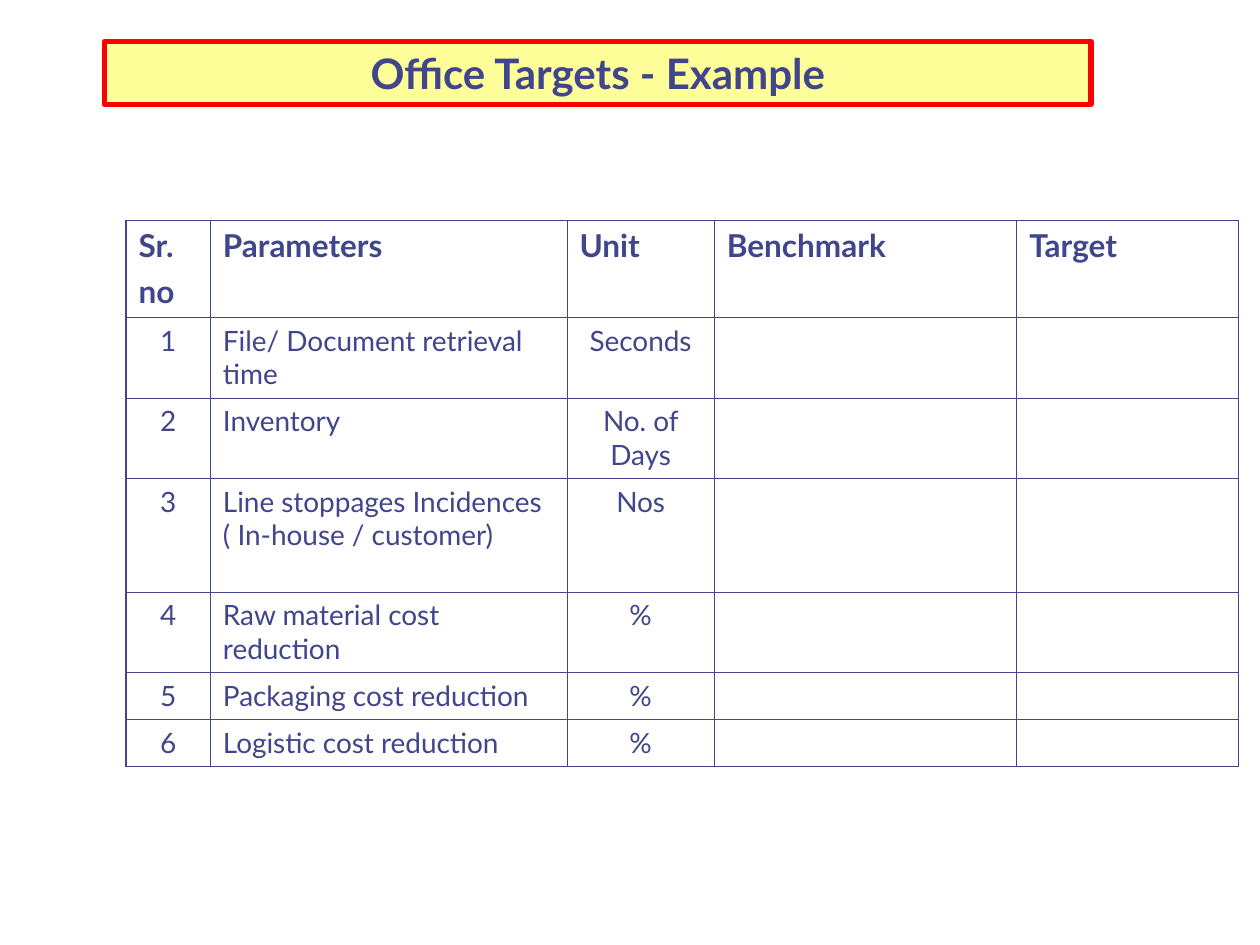
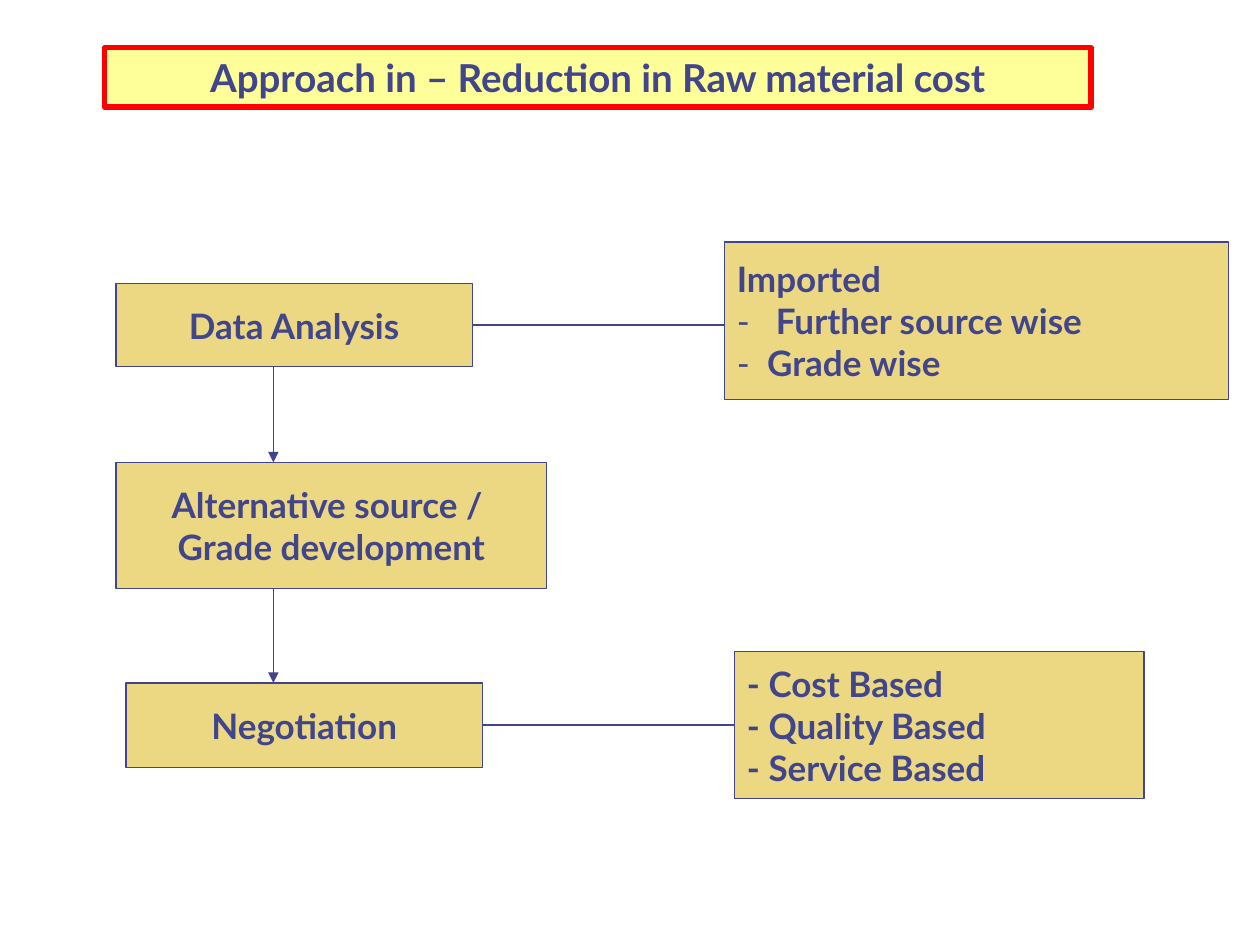
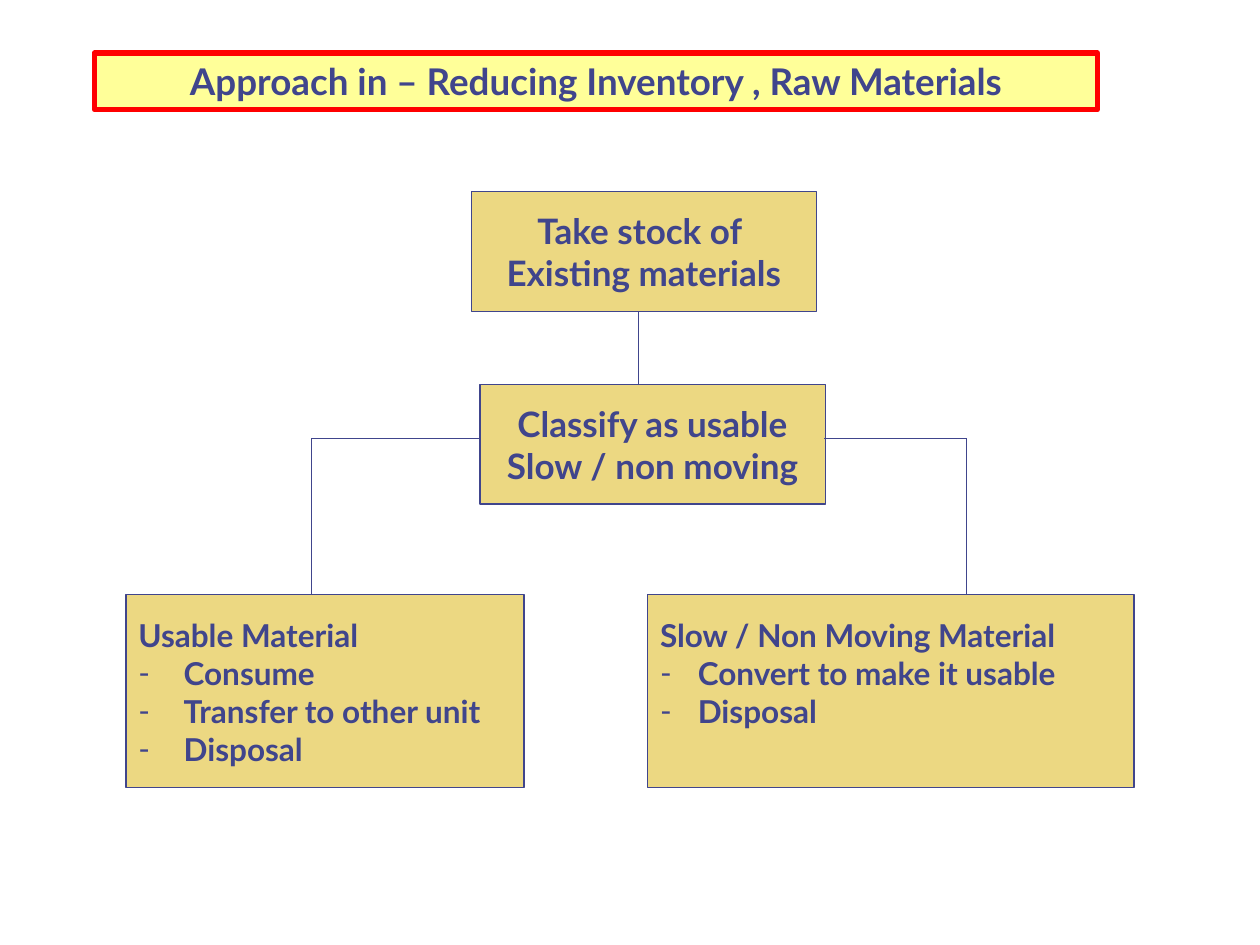
"""Build three slides on office targets and the approaches to cost and inventory reduction."""
from dataclasses import dataclass
from typing import NamedTuple, Optional

from lxml.etree import SubElement
from pptx import Presentation
from pptx.dml.color import RGBColor
from pptx.enum.shapes import MSO_CONNECTOR as Connector, MSO_SHAPE as Preset
from pptx.enum.text import MSO_ANCHOR as Anchor, PP_ALIGN as Align
from pptx.oxml.ns import qn
from pptx.util import Inches, Pt

BOTTOM_MARGIN_UNUSED = None


@dataclass(frozen=True)
class Theme:
    font: str = "Lato"
    ink: str = "40458C"
    band: str = "FFFF99"
    band_edge: str = "FF0000"
    panel: str = "ECD882"
    band_line: float = 3
    panel_line: float = 0.75
    inner_border: float = 0.45
    outer_border: float = 1.08
    panel_size: int = 20
    list_size: int = 18
    header_size: int = 18
    cell_size: int = 16


THEME = Theme()


class Area(NamedTuple):
    left: float
    top: float
    width: float
    height: float


class Line(NamedTuple):
    text: str
    hang: float = 0


class Panel(NamedTuple):
    name: str
    area: Area
    lines: list[Line]
    size: int = THEME.panel_size
    align: Align = Align.CENTER
    top_inset: Optional[float] = None


class Joint(NamedTuple):
    panel: str
    site: int


class Link(NamedTuple):
    start: tuple[float, float]
    end: tuple[float, float]
    arrow: bool = False
    start_joint: Optional[Joint] = None
    end_joint: Optional[Joint] = None


class Diagram(NamedTuple):
    title: str
    title_area: Area
    title_size: int
    panels: list[Panel]
    links: list[Link]


TABLE_AREA = Area(1, 1.75, 8.83, 4.33)
COLUMN_WIDTHS = [0.67, 2.83, 1.17, 2.4, 1.76]
ROW_HEIGHTS = [0.77, 0.64, 0.64, 0.9, 0.64, 0.37, 0.37]
CENTRED_COLUMNS = (0, 2)
HEADER = ["Sr.\nno", "Parameters", "Unit", "Benchmark", "Target"]
TARGETS = [
    ("File/ Document retrieval time", "Seconds"),
    ("Inventory", "No. of Days"),
    ("Line stoppages Incidences ( In-house / customer)", "Nos"),
    ("Raw material cost reduction", "%"),
    ("Packaging cost reduction", "%"),
    ("Logistic cost reduction", "%"),
]

COST_DIAGRAM = Diagram(
    "Approach in – Reduction in Raw material cost", Area(0.83, 0.38, 7.83, 0.47), 22,
    [
        Panel("analysis", Area(0.92, 2.25, 2.83, 0.66), [Line("Data Analysis")]),
        Panel("alternative", Area(0.92, 3.67, 3.42, 1),
              [Line("Alternative source / "), Line("Grade development")]),
        Panel("negotiation", Area(1, 5.42, 2.83, 0.67), [Line("Negotiation")]),
        Panel("imported", Area(5.75, 1.92, 4, 1.25),
              [Line("Imported"), Line("Further source wise", 0.31), Line("Grade wise", 0.24)],
              align=Align.LEFT),
        Panel("bases", Area(5.83, 5.17, 3.25, 1.17),
              [Line("- Cost Based"), Line("- Quality Based"), Line("- Service Based")],
              align=Align.LEFT),
    ],
    [
        Link((3.83, 5.75), (5.83, 5.75), start_joint=Joint("negotiation", 3),
             end_joint=Joint("bases", 1)),
        Link((3.75, 2.58), (5.75, 2.58), start_joint=Joint("analysis", 3)),
        Link((2.17, 2.91), (2.17, 3.67), arrow=True),
        Link((2.17, 4.67), (2.17, 5.42), arrow=True),
    ],
)

INVENTORY_DIAGRAM = Diagram(
    "Approach in – Reducing Inventory , Raw Materials", Area(0.75, 0.42, 7.96, 0.45), 21,
    [
        Panel("stock", Area(3.74, 1.52, 2.74, 0.95),
              [Line("Take stock of "), Line("Existing materials")]),
        Panel("classify", Area(3.81, 3.05, 2.74, 0.95),
              [Line("Classify as usable"), Line("Slow / non moving")]),
        Panel("usable", Area(1, 4.72, 3.16, 1.53),
              [Line("Usable Material"), Line("Consume", 0.36),
               Line("Transfer to other unit", 0.36), Line("Disposal", 0.36)],
              THEME.list_size, Align.LEFT, 0.17),
        Panel("slow", Area(5.14, 4.72, 3.86, 1.53),
              [Line("Slow / Non Moving Material"), Line("Convert to make it usable", 0.3),
               Line("Disposal", 0.3)],
              THEME.list_size, Align.LEFT, 0.17),
    ],
    [
        Link((6.54, 3.48), (7.67, 3.48)),
        Link((3.81, 3.48), (2.47, 3.48)),
        Link((2.47, 3.48), (2.47, 4.72)),
        Link((7.67, 3.48), (7.67, 4.72)),
        Link((5.07, 2.47), (5.07, 3.05)),
    ],
)


def colour(code: str) -> RGBColor:
    return RGBColor.from_string(code)


def inches(values) -> list:
    return [Inches(value) for value in values]


def add_span(para, text: str, size: float, bold: bool) -> None:
    span = para.add_run()
    span.text = text
    span.font.name = THEME.font
    span.font.size = Pt(size)
    span.font.bold = bold
    span.font.color.rgb = colour(THEME.ink)


def add_dash(para, hang: float) -> None:
    properties = para._p.get_or_add_pPr()
    properties.set("marL", str(Inches(hang)))
    properties.set("indent", str(-Inches(hang)))
    tint = SubElement(properties, qn("a:buClr"))
    SubElement(tint, qn("a:srgbClr"), val=THEME.ink)
    SubElement(properties, qn("a:buFont"), typeface=THEME.font)
    SubElement(properties, qn("a:buChar"), char="-")


def write_lines(frame, lines: list[Line], size: float, align: Align,
                bold: bool = True, space_before: float = 0) -> None:
    for index, line in enumerate(lines):
        para = frame.add_paragraph() if index else frame.paragraphs[0]
        para.alignment = align
        para.space_before = Pt(space_before)
        if line.hang:
            add_dash(para, line.hang)
        if line.text:
            add_span(para, line.text, size, bold)
        else:
            SubElement(para._p, qn("a:endParaRPr"), sz=str(size * 100))


def add_box(page, area: Area, fill: str, edge: str, weight: float):
    box = page.shapes.add_shape(Preset.RECTANGLE, *inches(area))
    box.shadow.inherit = False
    box.fill.solid()
    box.fill.fore_color.rgb = colour(fill)
    box.line.color.rgb = colour(edge)
    box.line.width = Pt(weight)
    box.text_frame.word_wrap = True
    return box


def add_title(page, title: str, area: Area, size: float) -> None:
    box = add_box(page, area, THEME.band, THEME.band_edge, THEME.band_line)
    box.text_frame.vertical_anchor = Anchor.TOP
    write_lines(box.text_frame, [Line(title)], size, Align.CENTER)


def add_panel(page, panel: Panel):
    box = add_box(page, panel.area, THEME.panel, THEME.ink, THEME.panel_line)
    frame = box.text_frame
    frame.vertical_anchor = Anchor.MIDDLE
    if panel.top_inset is not None:
        frame.vertical_anchor = Anchor.TOP
        frame.margin_top = Inches(panel.top_inset)
    write_lines(frame, panel.lines, panel.size, panel.align)
    return box


def add_link(page, link: Link, boxes: dict) -> None:
    connector = page.shapes.add_connector(Connector.STRAIGHT, *inches(link.start + link.end))
    connector.line.color.rgb = colour(THEME.ink)
    connector.line.width = Pt(THEME.panel_line)
    if link.arrow:
        SubElement(connector.line._get_or_add_ln(), qn("a:tailEnd"), type="triangle")
    SubElement(connector._element.spPr, qn("a:effectLst"))
    if link.start_joint:
        connector.begin_connect(boxes[link.start_joint.panel], link.start_joint.site)
    if link.end_joint:
        connector.end_connect(boxes[link.end_joint.panel], link.end_joint.site)


def set_borders(cell, outer_sides: dict[str, bool]) -> None:
    properties = cell._tc.get_or_add_tcPr()
    for index, (side, is_outer) in enumerate(outer_sides.items()):
        weight = THEME.outer_border if is_outer else THEME.inner_border
        border = SubElement(properties, qn(f"a:ln{side}"), w=str(Pt(weight)))
        fill = SubElement(border, qn("a:solidFill"))
        SubElement(fill, qn("a:srgbClr"), val=THEME.ink)
        properties.insert(index, border)


def add_targets_table(page) -> None:
    body = [[str(number), *target, "", ""] for number, target in enumerate(TARGETS, 1)]
    rows = [HEADER, *body]
    last_row, last_column = len(rows) - 1, len(HEADER) - 1
    table = page.shapes.add_table(len(rows), len(HEADER), *inches(TABLE_AREA)).table
    table.first_row = table.horz_banding = False
    for column, width in zip(table.columns, COLUMN_WIDTHS):
        column.width = Inches(width)
    for row, height in zip(table.rows, ROW_HEIGHTS):
        row.height = Inches(height)
    for row_index, texts in enumerate(rows):
        is_header = row_index == 0
        size = THEME.header_size if is_header else THEME.cell_size
        for column_index, text in enumerate(texts):
            cell = table.cell(row_index, column_index)
            cell.fill.background()
            centred = not is_header and column_index in CENTRED_COLUMNS
            write_lines(cell.text_frame, [Line(part) for part in text.split("\n")], size,
                        Align.CENTER if centred else Align.LEFT, is_header, size / 4)
            set_borders(cell, {"L": column_index == 0, "R": column_index == last_column,
                               "T": is_header, "B": row_index == last_row})


def add_page(deck):
    return deck.slides.add_slide(deck.slide_layouts[6])


def add_targets_page(deck) -> None:
    page = add_page(deck)
    add_title(page, "Office Targets - Example", Area(0.83, 0.33, 7.83, 0.5), 24)
    add_targets_table(page)


def add_diagram_page(deck, diagram: Diagram) -> None:
    page = add_page(deck)
    add_title(page, diagram.title, diagram.title_area, diagram.title_size)
    boxes = {panel.name: add_panel(page, panel) for panel in diagram.panels}
    for link in diagram.links:
        add_link(page, link, boxes)


def main() -> None:
    deck = Presentation()
    deck.slide_width, deck.slide_height = Inches(10), Inches(7.5)
    add_targets_page(deck)
    for diagram in (COST_DIAGRAM, INVENTORY_DIAGRAM):
        add_diagram_page(deck, diagram)
    deck.save("out.pptx")


if __name__ == "__main__":
    main()
